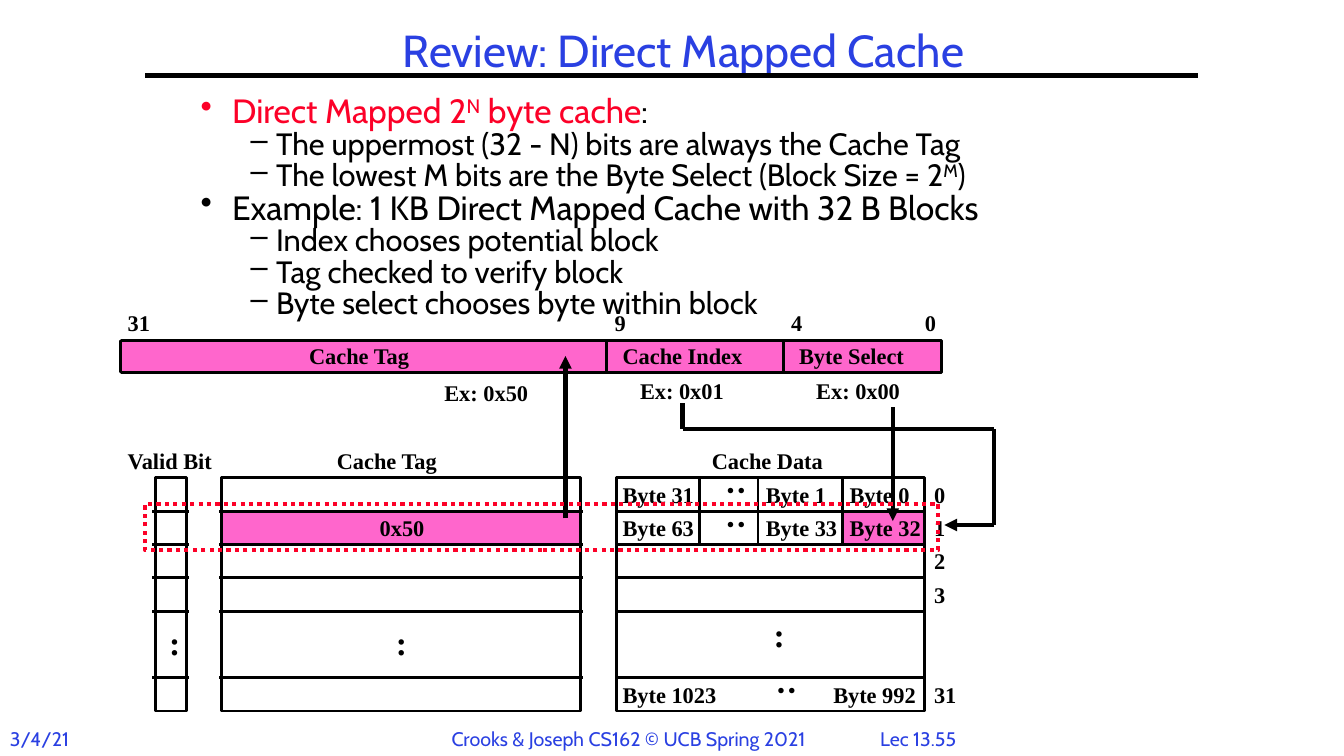
from lxml.etree import SubElement
from pptx import Presentation
from pptx.dml.color import RGBColor
from pptx.enum.dml import MSO_LINE
from pptx.enum.shapes import MSO_CONNECTOR, MSO_SHAPE
from pptx.enum.text import MSO_ANCHOR, MSO_AUTO_SIZE, PP_ALIGN
from pptx.oxml.ns import qn
from pptx.util import Cm, Pt

BLACK, BLUE, RED, PINK = "000000", "2A40E2", "FC0128", "FF66CC"
TOP, ROW = 12.04, 0.84  # cache tables: top edge and row height
RULES = (1, 2, 3, 4, 6)  # rows that start with a line


def color(code):
    return RGBColor.from_string(code)


class Board:
    """Holds the slide and its fonts."""

    sans, serif = "Cabin", "Times New Roman"

    def __init__(self, slide):
        self.slide = slide
        self.shapes = slide.shapes

    def style(self, font, name, size, tint=None, bold=False):
        font.name, font.size, font.bold = name, Pt(size), bold
        if tint:
            font.color.rgb = color(tint)

    def title(self, text, x, y, w, h):
        shape = self.shapes.title
        shape.left, shape.top, shape.width, shape.height = map(Cm, (x, y, w, h))
        frame = shape.text_frame
        frame.text = text
        frame.word_wrap = False
        frame.auto_size = MSO_AUTO_SIZE.NONE
        frame.vertical_anchor = MSO_ANCHOR.MIDDLE
        frame.margin_left = frame.margin_right = Cm(0.18)
        frame.margin_top = frame.margin_bottom = Cm(0.08)
        para = frame.paragraphs[0]
        para.alignment = PP_ALIGN.CENTER
        para.line_spacing = 0.9
        self.style(para.font, self.sans, 32, BLUE)

    def label(self, text, x, y, w, size=16, turn=0):
        box = self.shapes.add_textbox(Cm(x), Cm(y), Cm(w), Cm(1.27 if size > 16 else 0.94))
        box.rotation = turn
        box.text_frame.word_wrap = False
        para = box.text_frame.paragraphs[0]
        para.text = text
        self.style(para.font, self.serif, size, BLACK, True)

    def dots(self, x, y, turn=0):
        self.label(":", x, y, 0.79, 24, turn)

    def footer(self, text, x, w, align=PP_ALIGN.LEFT):
        box = self.shapes.add_textbox(Cm(x), Cm(18.19), Cm(w), Cm(0.86))
        box.text_frame.word_wrap = True
        para = box.text_frame.paragraphs[0]
        para.text = text
        para.alignment = align
        self.style(para.font, self.sans, 14, BLUE)

    def list(self, items, x, y, w, h):
        frame = self.shapes.add_textbox(Cm(x), Cm(y), Cm(w), Cm(h)).text_frame
        frame.word_wrap = True
        frame.margin_left = frame.margin_right = Cm(0.18)
        frame.margin_top = frame.margin_bottom = Cm(0.08)
        for i, (level, runs) in enumerate(items):
            para = frame.add_paragraph() if i else frame.paragraphs[0]
            para.level = level
            para.line_spacing = 0.8
            para.space_before = Pt(1.2 if i else 0)
            mark, left, hang = (("•", 0.79, 0.79), ("–", 1.9, 0.64))[level]
            props = para._p.get_or_add_pPr()
            props.set("marL", str(Cm(left)))
            props.set("indent", str(-Cm(hang)))
            SubElement(props, qn("a:buChar")).set("char", mark)
            tints = {tint for _, tint, _ in runs}
            shared = tints.pop() if len(tints) == 1 else None
            self.style(para.font, self.sans, (24, 22)[level], shared)
            for text, tint, raised in runs:
                run = para.add_run()
                run.text = text
                if not shared:
                    run.font.color.rgb = color(tint)
                if raised:
                    run._r.get_or_add_rPr().set("baseline", "30000")

    def rect(self, x, y, w, h, fill=None, width=2, line=BLACK, dash=None):
        shape = self.shapes.add_shape(MSO_SHAPE.RECTANGLE, Cm(x), Cm(y), Cm(w), Cm(h))
        shape.shadow.inherit = False
        if fill:
            shape.fill.solid()
            shape.fill.fore_color.rgb = color(fill)
        else:
            shape.fill.background()
        shape.line.color.rgb = color(line)
        shape.line.width = Pt(width)
        if dash:
            shape.line.dash_style = dash

    def line(self, x1, y1, x2, y2, width=2, arrow=False):
        link = self.shapes.add_connector(MSO_CONNECTOR.STRAIGHT, Cm(x1), Cm(y1), Cm(x2), Cm(y2))
        link.line.color.rgb = color(BLACK)
        link.line.width = Pt(width)
        if arrow:
            SubElement(link.line._get_or_add_ln(), qn("a:tailEnd")).set("type", "triangle")
        SubElement(link._element.spPr, qn("a:effectLst"))

    def table(self, x, w, over):
        self.rect(x, TOP, w, 7 * ROW)
        for i in RULES:
            self.line(x - over, TOP + i * ROW, x + w + over, TOP + i * ROW)


def main():
    deck = Presentation()
    deck.slide_width, deck.slide_height = Cm(33.87), Cm(19.05)
    board = Board(deck.slides.add_slide(deck.slide_layouts[5]))

    # Title, rule and footer
    board.title("Review: Direct Mapped Cache", 9.37, 0.64, 15.72, 1.37)
    board.line(3.66, 1.9, 30.2, 1.9, 3)
    board.footer("3/4/21", 0, 2.03)
    board.footer("Crooks & Joseph CS162 © UCB Spring 2021", 11.13, 9.55)
    board.footer("Lec 13.55", 21.59, 3.1, PP_ALIGN.CENTER)

    # Bullets: level, then runs of text, colour, raised
    board.list([
        (0, [("Direct Mapped 2", RED, False), ("N", RED, True),
             (" byte cache", RED, False), (":", BLACK, False)]),
        (1, [("The uppermost (32 - N) bits are always the Cache Tag", BLACK, False)]),
        (1, [("The lowest M bits are the Byte Select (Block Size = 2", BLACK, False),
             ("M", BLACK, True), (")", BLACK, False)]),
        (0, [("Example: 1 KB Direct Mapped Cache with 32 B Blocks", BLACK, False)]),
        (1, [("Index chooses potential block", BLACK, False)]),
        (1, [("Tag checked to verify block", BLACK, False)]),
        (1, [("Byte select chooses byte within block", BLACK, False)]),
    ], 4.88, 2.39, 24.77, 5.87)

    # Address bar
    for x, w, name, at, size in ((3.02, 12.27, "Cache Tag", 7.54, 3.1),
                                 (15.29, 4.45, "Cache Index", 15.44, 3.56),
                                 (19.74, 3.98, "Byte Select", 19.89, 3.2)):
        board.rect(x, 8.59, w, 0.78, PINK, 1.5)
        board.label(name, at, 8.5, size)
    board.rect(3.05, 8.59, 20.68, 0.79)
    for x in (15.29, 19.74):
        board.line(x, 8.59, x, 9.35)
    for bit, x, w in (("31", 2.97, 1.07), ("9", 15.24, 0.79), ("4", 19.69, 0.79), ("0", 23.06, 0.79)):
        board.label(bit, x, 7.67, w)
    for text, x, y in (("Ex: 0x50", 10.95, 9.42), ("Ex: 0x01", 15.88, 9.37), ("Ex: 0x00", 20.32, 9.37)):
        board.label(text, x, y, 2.64)

    # Marked cells and the three tables
    board.rect(5.61, TOP + ROW, 9.02, ROW, PINK, 1)
    board.rect(21.23, TOP + ROW, 2.08, ROW, PINK, 1.5)
    for x, w, over in ((3.91, 0.79, 0.07), (5.59, 9.04, 0.07), (15.54, 7.77, 0)):
        board.table(x, w, over)
    for text, x, w in (("Valid Bit", 2.97, 2.69), ("Cache Tag", 8.24, 3.08), ("Cache Data", 17.69, 3.34)):
        board.label(text, x, 11.15, w)
    board.label("0x50", 9.32, TOP + ROW - 0.05, 1.65)
    for x, y in ((4.01, 15.54), (9.73, 15.54), (19.25, 15.34)):
        board.dots(x, y)

    # Bytes in the data table
    for i, names in enumerate((("Byte 31", "Byte 1", "Byte 0"), ("Byte 63", "Byte 33", "Byte 32"))):
        y = TOP + i * ROW
        for name, x in zip(names, (15.44, 19.05, 21.16)):
            board.label(name, x, y - 0.05, 2.34 if len(name) > 6 else 2.03)
        for x in (17.63, 19.1, 21.23):
            board.line(x, y, x, y + ROW)
        board.dots(18.01, y - 0.3, 270)
    last = TOP + 6 * ROW
    board.label("Byte 1023", 15.44, last - 0.05, 2.9)
    board.label("Byte 992", 20.75, last - 0.05, 2.62)
    board.dots(19.28, last - 0.3, 270)
    for i, name in ((0, "0"), (1, "1"), (2, "2"), (3, "3"), (6, "31")):
        board.label(name, 23.29, TOP + i * ROW - 0.05, 1.07 if i == 6 else 0.79)

    # Arrows from the address to the chosen row
    board.line(14.25, 13.06, 14.25, 8.97, 3, True)
    board.line(22.5, 10.26, 22.5, 13.13, 3, True)
    bends = ((17.2, 10.16), (17.2, 10.82), (25.04, 10.82), (25.04, 13.23), (23.8, 13.23))
    for i, (start, end) in enumerate(zip(bends, bends[1:])):
        board.line(*start, *end, 3, i == 3)
    board.rect(3.66, 12.7, 19.99, 1.17, None, 3, RED, MSO_LINE.ROUND_DOT)

    deck.save("out.pptx")


if __name__ == "__main__":
    main()
